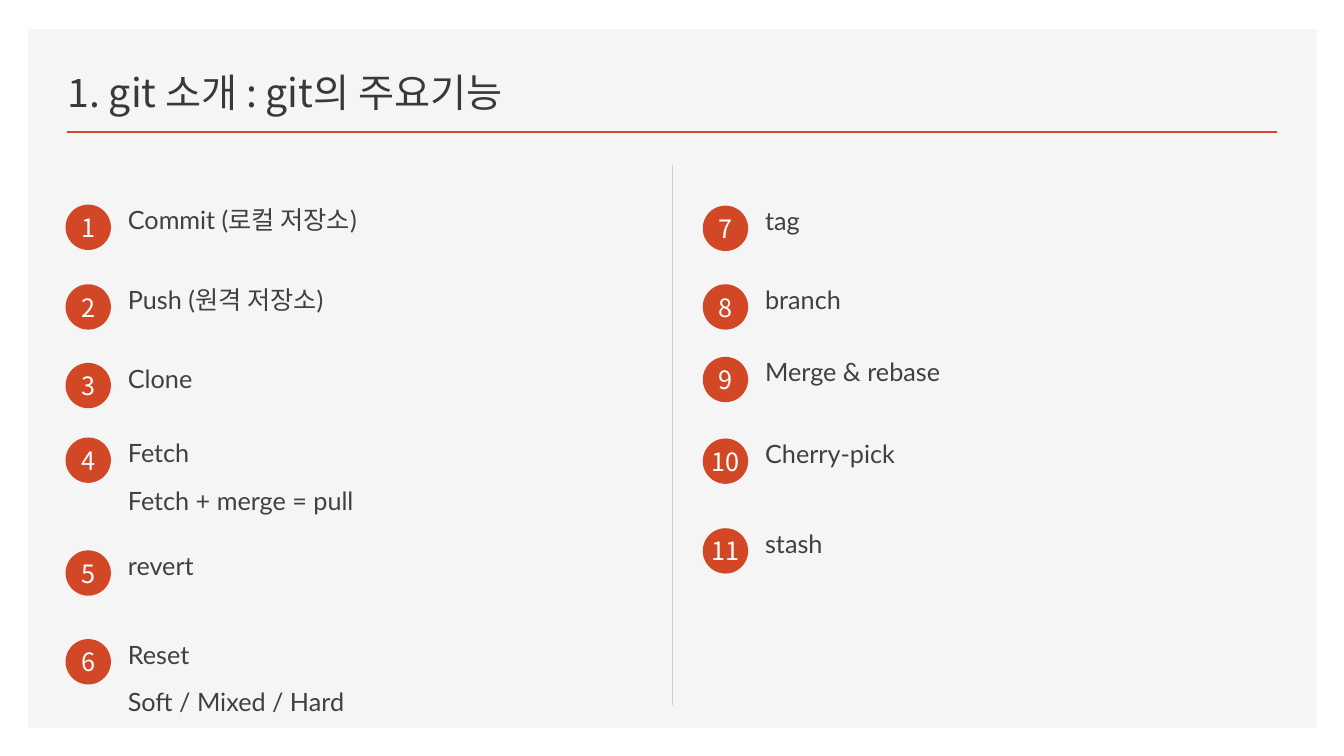
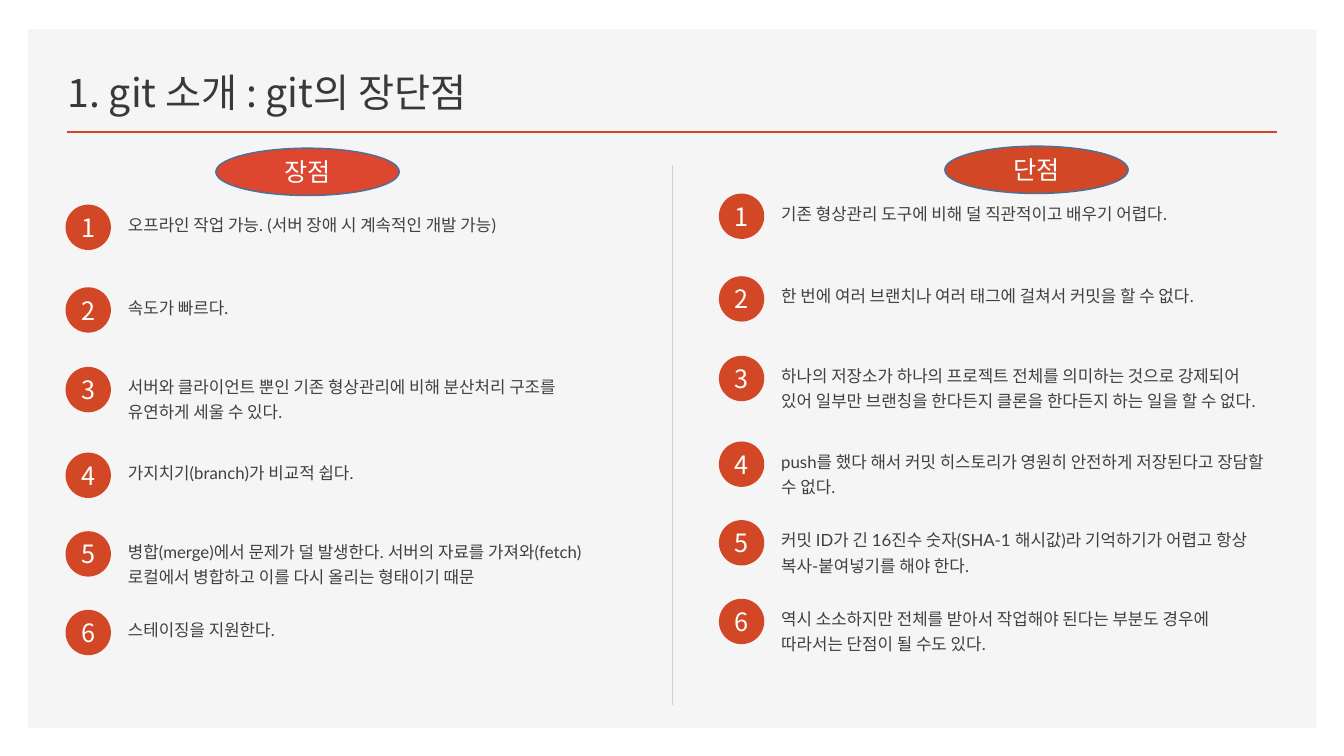
from dataclasses import dataclass

from lxml import etree
from pptx import Presentation
from pptx.dml.color import RGBColor
from pptx.enum.shapes import MSO_CONNECTOR, MSO_SHAPE
from pptx.enum.text import MSO_ANCHOR, MSO_AUTO_SIZE, PP_ALIGN
from pptx.oxml.ns import qn
from pptx.util import Pt

PX = 9144
TITLE_ONLY = 5
RECTANGLE, OVAL = MSO_SHAPE.RECTANGLE, MSO_SHAPE.OVAL
STRAIGHT = MSO_CONNECTOR.STRAIGHT
LEFT, CENTER = PP_ALIGN.LEFT, PP_ALIGN.CENTER
BOTTOM, MIDDLE = MSO_ANCHOR.BOTTOM, MSO_ANCHOR.MIDDLE
NO_AUTOFIT = MSO_AUTO_SIZE.NONE


@dataclass(frozen=True)
class Theme:
    accent: str = "D24726"
    accent_bright: str = "DD462F"
    panel: str = "F5F5F5"
    title: str = "3B3838"
    body: str = "404040"
    white: str = "FFFFFF"
    divider: str = "D0CECE"
    outline: str = "43739E"
    korean_font: str = "Noto Sans CJK KR"
    body_font: str = "Lato"
    title_size: int = 28
    large_size: int = 18
    small_size: int = 12


class Deck:
    def __init__(self, theme):
        self.theme = theme
        self.presentation = Presentation()
        self.presentation.slide_width = 1333 * PX
        self.presentation.slide_height = 750 * PX
        self.layout = self.presentation.slide_layouts[TITLE_ONLY]
        self.slide = None

    def start_slide(self, title):
        self.slide = self.presentation.slides.add_slide(self.layout)
        if len(self.presentation.slides) == 1:
            self.decorate_layout()
        shape = self.slide.shapes.title
        shape.left, shape.top, shape.width, shape.height = (
            length * PX for length in (57, 49, 752, 70))
        frame = shape.text_frame
        frame.text = title
        frame.auto_size = NO_AUTOFIT
        frame.vertical_anchor = BOTTOM
        self.format_text(frame, self.theme.korean_font, self.theme.title_size,
                         self.theme.title, LEFT)
        self.line(667, 164, 667, 699, self.theme.divider, 0.75)

    def decorate_layout(self):
        panel = self.shape(RECTANGLE, 28, 29, 1278, 693, self.theme.panel)
        rule = self.line(66, 131, 1267, 131, self.theme.accent, 2)
        for index, item in enumerate((panel, rule)):
            item.element.xpath("./*/p:cNvPr")[0].set("id", str(100 + index))
            self.layout.shapes.element.insert(2 + index, item.element)

    def format_text(self, frame, font_name, size, color, alignment):
        for paragraph in frame.paragraphs:
            paragraph.alignment = alignment
            font = paragraph.font
            font.size = Pt(size)
            font.color.rgb = RGBColor.from_string(color)
            font.name = font_name
            latin = paragraph._p.find(".//" + qn("a:latin"))
            east_asian = etree.Element(qn("a:ea"), typeface=self.theme.korean_font)
            latin.addnext(east_asian)

    def shape(self, kind, left, top, width, height, fill, outline=None):
        shape = self.slide.shapes.add_shape(
            kind, left * PX, top * PX, width * PX, height * PX)
        shape.shadow.inherit = False
        shape.fill.solid()
        shape.fill.fore_color.rgb = RGBColor.from_string(fill)
        if outline:
            shape.line.color.rgb = RGBColor.from_string(outline)
            shape.line.width = Pt(1)
        else:
            shape.line.fill.background()
        return shape

    def line(self, x1, y1, x2, y2, color, width):
        connector = self.slide.shapes.add_connector(
            STRAIGHT, x1 * PX, y1 * PX, x2 * PX, y2 * PX)
        connector.line.color.rgb = RGBColor.from_string(color)
        connector.line.width = Pt(width)
        etree.SubElement(connector.element.spPr, qn("a:effectLst"))
        return connector

    def oval_label(self, text, left, top, width, height, fill, font_name, outline=None):
        shape = self.shape(OVAL, left, top, width, height, fill, outline)
        frame = shape.text_frame
        frame.text = text
        frame.word_wrap = False
        frame.vertical_anchor = MIDDLE
        frame.margin_left = frame.margin_right = 0
        frame.margin_top = frame.margin_bottom = 0
        self.format_text(frame, font_name, self.theme.large_size,
                         self.theme.white, CENTER)

    def heading(self, text, left, top, fill):
        self.oval_label(text, left, top, 182, 47, fill,
                        self.theme.body_font, self.theme.outline)

    def numbered_item(self, number, text, left, top, size):
        self.oval_label(str(number), left, top, 45, 45,
                        self.theme.accent, self.theme.korean_font)
        box = self.slide.shapes.add_textbox(
            (left + 52) * PX, top * PX, 502 * PX, 48 * PX)
        frame = box.text_frame
        frame.text = text
        frame.word_wrap = True
        self.format_text(frame, self.theme.body_font, size, self.theme.body, LEFT)
        for paragraph in frame.paragraphs:
            paragraph.line_spacing = Pt(18)
            paragraph.space_before = Pt(10)
            paragraph.space_after = Pt(6)

    def numbered_list(self, items, tops, left, size, first=1):
        for number, (text, top) in enumerate(zip(items, tops), first):
            self.numbered_item(number, text, left, top, size)


COMMANDS_LEFT = [
    "Commit (로컬 저장소)",
    "Push (원격 저장소)",
    "Clone",
    "Fetch\nFetch + merge = pull",
    "revert",
    "Reset\nSoft / Mixed / Hard",
]
COMMANDS_RIGHT = ["tag", "branch", "Merge & rebase", "Cherry-pick", "stash"]
ADVANTAGES = [
    "오프라인 작업 가능. (서버 장애 시 계속적인 개발 가능)",
    "속도가 빠르다.",
    "서버와 클라이언트 뿐인 기존 형상관리에 비해 분산처리 구조를 유연하게 세울 수 있다.",
    "가지치기(branch)가 비교적 쉽다.",
    "병합(merge)에서 문제가 덜 발생한다. 서버의 자료를 가져와(fetch) "
    "로컬에서 병합하고 이를 다시 올리는 형태이기 때문",
    "스테이징을 지원한다.",
]
DRAWBACKS = [
    "기존 형상관리 도구에 비해 덜 직관적이고 배우기 어렵다.",
    "한 번에 여러 브랜치나 여러 태그에 걸쳐서 커밋을 할 수 없다.",
    "하나의 저장소가 하나의 프로젝트 전체를 의미하는 것으로 강제되어 "
    "있어 일부만 브랜칭을 한다든지 클론을 한다든지 하는 일을 할 수 없다.",
    "push를 했다 해서 커밋 히스토리가 영원히 안전하게 저장된다고 장담할 수 없다.",
    "커밋 ID가 긴 16진수 숫자(SHA-1 해시값)라 기억하기가 어렵고 "
    "항상 복사-붙여넣기를 해야 한다.",
    "역시 소소하지만 전체를 받아서 작업해야 된다는 부분도 경우에 "
    "따라서는 단점이 될 수도 있다.",
]


def build_features(deck):
    size = deck.theme.large_size
    deck.start_slide("1. git 소개 : git의 주요기능")
    deck.numbered_list(COMMANDS_LEFT, (203, 282, 360, 434, 546, 634), 65, size)
    deck.numbered_list(COMMANDS_RIGHT, (204, 282, 354, 435, 524), 697, size,
                       first=len(COMMANDS_LEFT) + 1)


def build_comparison(deck):
    size = deck.theme.small_size
    tops = (203, 285, 364, 449, 527, 605)
    deck.start_slide("1. git 소개 : git의 장단점")
    deck.numbered_list(ADVANTAGES, tops, 65, size)
    deck.numbered_list(DRAWBACKS, [top - 11 for top in tops], 713, size)
    deck.heading("장점", 214, 147, deck.theme.accent_bright)
    deck.heading("단점", 937, 145, deck.theme.accent)


def main():
    deck = Deck(Theme())
    build_features(deck)
    build_comparison(deck)
    deck.presentation.save("out.pptx")


if __name__ == "__main__":
    main()
